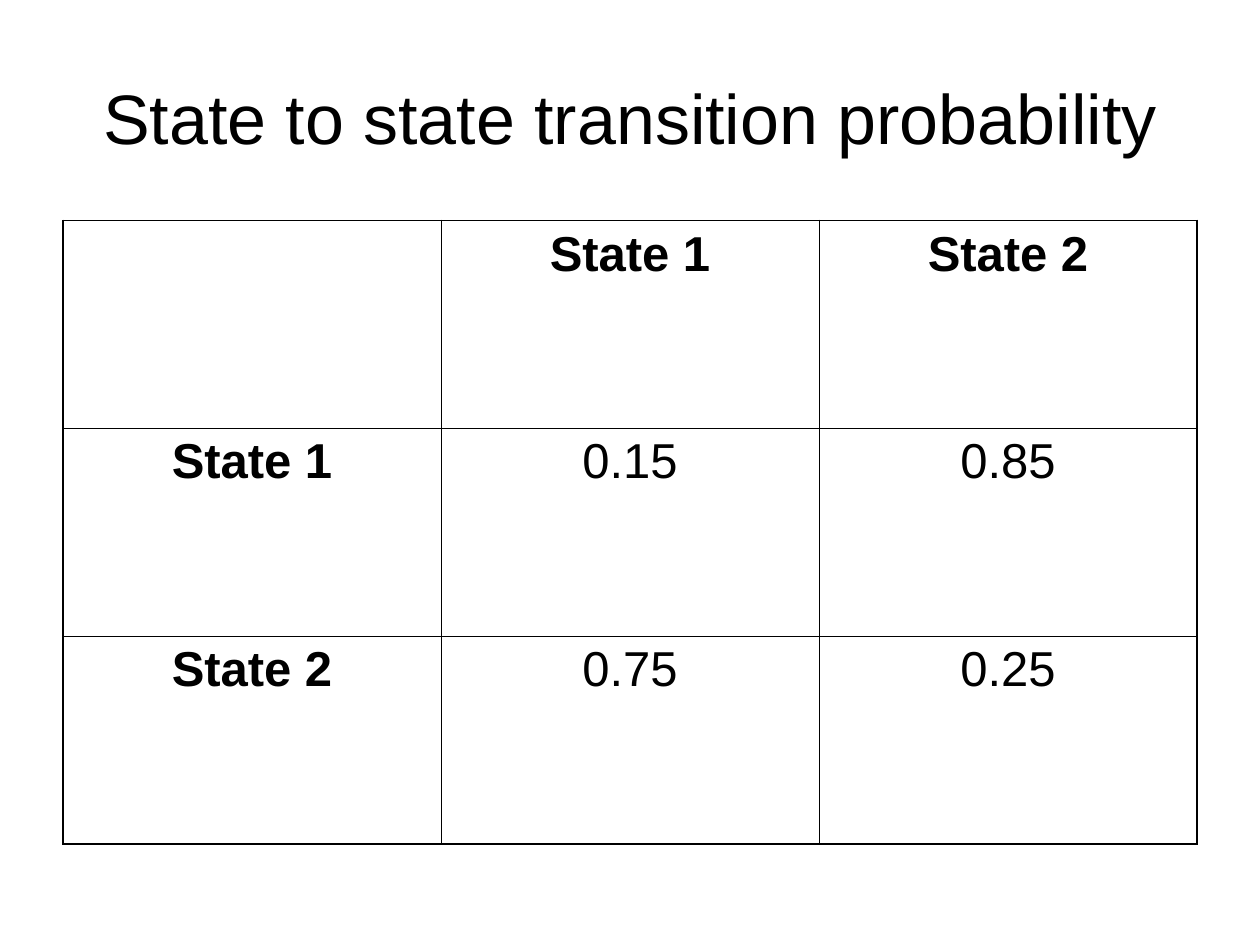
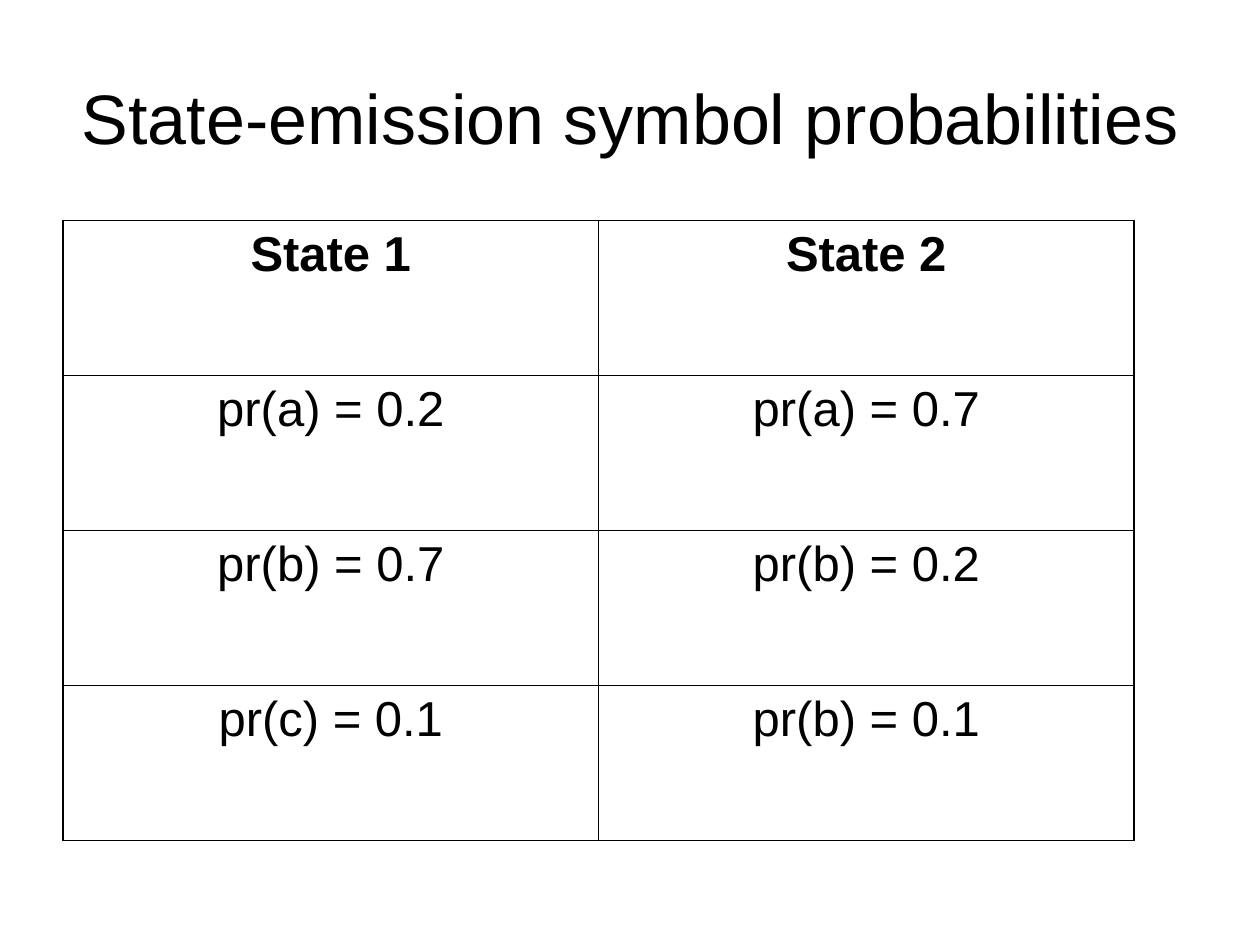
from lxml.etree import SubElement
from pptx import Presentation
from pptx.dml.color import RGBColor
from pptx.enum.text import MSO_ANCHOR as Anchor, MSO_AUTO_SIZE as Fit, PP_ALIGN as Align
from pptx.oxml.ns import qn
from pptx.util import Inches, Pt

INK = RGBColor(0, 0, 0)
PAPER = RGBColor(255, 255, 255)
FACE = "Arial"
WIDE, HIGH = Inches(10), Inches(7.5)
THICK, THIN = Pt(1.08), Pt(0.45)
TITLE_BOX = 0.05, 0.04, 0.9, 1 / 6  # shares of the slide's size
LEFT, TOP = 0.05, 0.7 / 3

MOVES = [
    ["", "State 1", "State 2"],
    ["State 1", "0.15", "0.85"],
    ["State 2", "0.75", "0.25"],
]
SYMBOLS = [
    ["State 1", "State 2"],
    ["pr(a) = 0.2", "pr(a) = 0.7"],
    ["pr(b) = 0.7", "pr(b) = 0.2"],
    ["pr(c) = 0.1", "pr(b) = 0.1"],
]


def scale(box):
    """Turn shares of the slide into lengths."""
    return [round(part * size) for part, size in zip(box, (WIDE, HIGH) * 2)]


def style(para, size, bold=False):
    para.alignment = Align.CENTER
    font = para.font
    font.name, font.size, font.bold = FACE, Pt(size), bold
    font.color.rgb = INK


def add_title(slide, text, box):
    title = slide.shapes.title
    title.left, title.top, title.width, title.height = scale(box)
    frame = title.text_frame
    frame.text = text
    frame.auto_size = Fit.NONE
    frame.vertical_anchor = Anchor.MIDDLE
    style(frame.paragraphs[0], 40)


def add_edge(cell, side, width):
    line = SubElement(cell._tc.get_or_add_tcPr(), qn(f"a:ln{side}"), w=str(width))
    fill = SubElement(line, qn("a:solidFill"))
    SubElement(fill, qn("a:srgbClr"), val=str(INK))


def add_grid(slide, rows, box, side_heads):
    """Add a table of equal cells with a heavy outer frame."""
    left, top, width, height = scale(box)
    down, across = len(rows), len(rows[0])
    table = slide.shapes.add_table(down, across, left, top, width, height).table
    table.first_row = table.horz_banding = False
    for r, row in enumerate(rows):
        for c, text in enumerate(row):
            cell = table.cell(r, c)
            cell.text = text
            para = cell.text_frame.paragraphs[0]
            style(para, 28, r == 0 or (side_heads and c == 0))
            para.space_before = Pt(7)
            outer = {"L": c == 0, "R": c == across - 1, "T": r == 0, "B": r == down - 1}
            for side, heavy in outer.items():
                add_edge(cell, side, THICK if heavy else THIN)
            cell.fill.background()


def add_page(deck, title, rows, width, height, side_heads=False):
    slide = deck.slides.add_slide(deck.slide_layouts[5])
    slide.background.fill.solid()
    slide.background.fill.fore_color.rgb = PAPER
    add_title(slide, title, TITLE_BOX)
    add_grid(slide, rows, (LEFT, TOP, width, height), side_heads)


def main():
    deck = Presentation()
    deck.slide_width, deck.slide_height = WIDE, HIGH
    add_page(deck, "State to state transition probability", MOVES, 0.9, 0.66, True)
    add_page(deck, "State-emission symbol probabilities", SYMBOLS, 0.85, 0.656)
    deck.save("out.pptx")


if __name__ == "__main__":
    main()
